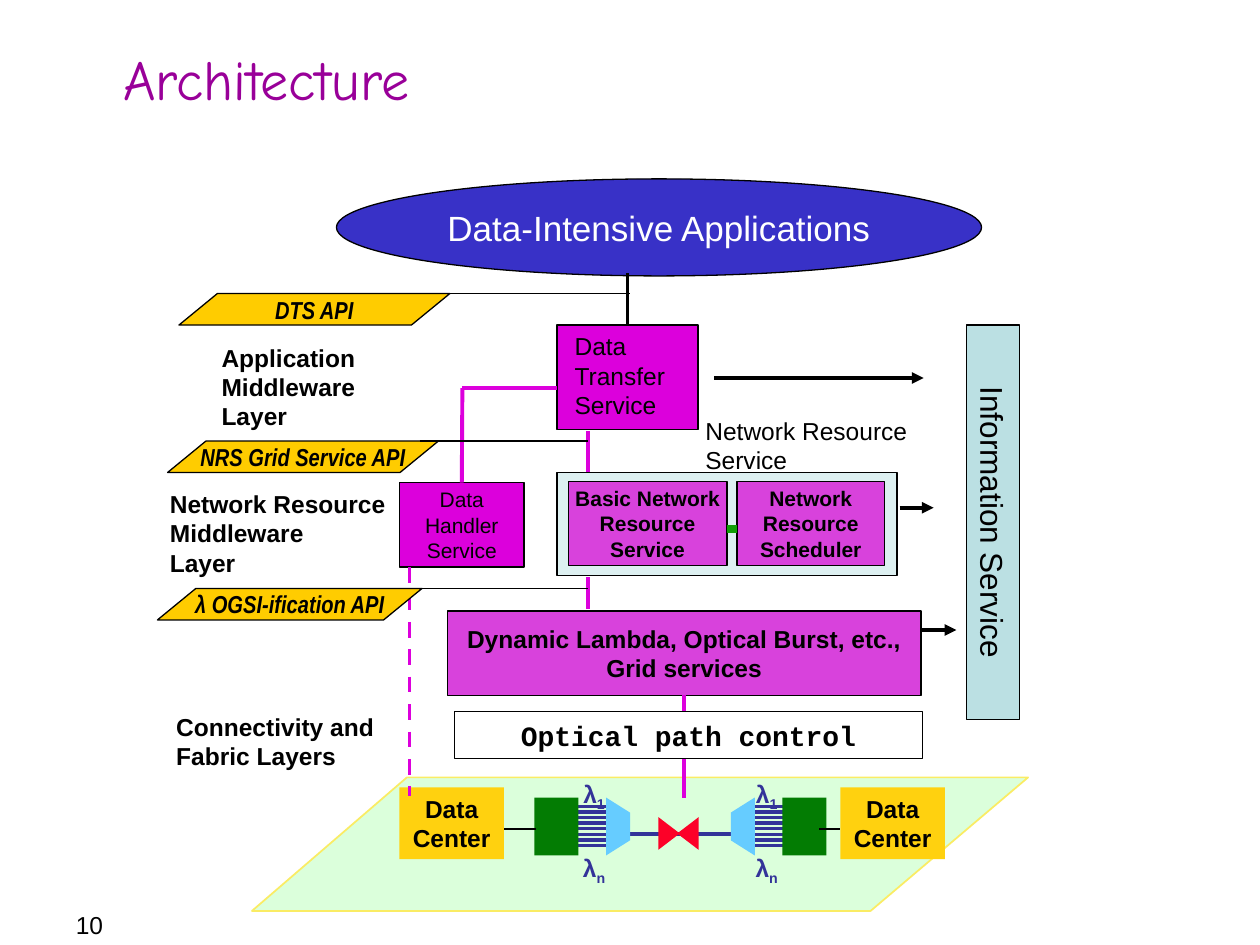
from dataclasses import dataclass
from lxml.etree import SubElement
from pptx import Presentation
from pptx.dml.color import RGBColor
from pptx.enum.dml import MSO_LINE
from pptx.enum.shapes import MSO_CONNECTOR, MSO_SHAPE
from pptx.enum.text import MSO_ANCHOR, PP_ALIGN
from pptx.oxml.ns import qn
from pptx.util import Inches, Pt


@dataclass(frozen=True)
class Theme:
    """Colours, fonts and type sizes of the slide."""
    black: str = "000000"
    white: str = "FFFFFF"
    title: str = "990099"
    application: str = "3831C7"
    service: str = "DC00DC"
    grid: str = "D842DC"
    frame: str = "DDF0F1"
    joint: str = "119E06"
    information: str = "BBE0E3"
    api: str = "FFCC00"
    plane: str = "DBFFDB"
    plane_edge: str = "FAEC64"
    center: str = "FFD10F"
    fiber: str = "333399"
    prism: str = "66CCFF"
    block: str = "037C03"
    switch: str = "FC0128"
    body_font: str = "Arial"
    api_font: str = "Arial Narrow"
    title_font: str = "Comic Neue"
    code_font: str = "Courier New"
    title_size: int = 32
    large: int = 20
    medium: int = 18
    code_size: int = 16
    body: int = 14
    small: int = 12


THEME = Theme()


@dataclass(frozen=True)
class Box:
    """A rectangle in inches."""
    left: float
    top: float
    width: float
    height: float

    def inner(self, x, y, width, height):
        """Return a box placed relative to this one."""
        return Box(self.left + x, self.top + y, width, height)

    def point(self, x, y):
        """Return a point placed relative to this box."""
        return self.left + x, self.top + y

    def lengths(self):
        """Return the four measures as lengths."""
        return [Inches(value) for value in (self.left, self.top, self.width, self.height)]


def write(shape, text, size=THEME.body, color=THEME.black, font=THEME.body_font, bold=False, italic=False,
          align=PP_ALIGN.CENTER, anchor=MSO_ANCHOR.MIDDLE, inset=0.02, wrap=True):
    """Fill a shape with formatted text."""
    frame = shape.text_frame
    frame.text = text
    frame.word_wrap = wrap
    frame.vertical_anchor = anchor
    frame.margin_left = frame.margin_right = Inches(inset)
    for paragraph in frame.paragraphs:
        paragraph.alignment = align
        for run in paragraph.runs:
            run.font.size, run.font.name = Pt(size), font
            run.font.bold, run.font.italic = bold, italic
            run.font.color.rgb = RGBColor.from_string(color)


def paint(shape, fill, edge=None, weight=0.75):
    """Set fill and outline and drop the shadow."""
    shape.shadow.inherit = False
    shape.fill.solid()
    shape.fill.fore_color.rgb = RGBColor.from_string(fill)
    if edge:
        shape.line.color.rgb = RGBColor.from_string(edge)
        shape.line.width = Pt(weight)
    else:
        shape.line.fill.background()
    return shape


def add_block(slide, box, fill, edge=THEME.black, kind=MSO_SHAPE.RECTANGLE):
    """Add a painted preset shape."""
    return paint(slide.shapes.add_shape(kind, *box.lengths()), fill, edge)


def add_label(slide, box, text, **style):
    """Add a text box, left-aligned from the top by default."""
    style = {"align": PP_ALIGN.LEFT, "anchor": MSO_ANCHOR.TOP, "inset": 0.1} | style
    label = slide.shapes.add_textbox(*box.lengths())
    write(label, text, **style)
    return label


def add_outline(slide, points, fill, edge=None, weight=0.75):
    """Add a closed polygon."""
    corners = [(Inches(x), Inches(y)) for x, y in points]
    builder = slide.shapes.build_freeform(*corners[0])
    builder.add_line_segments(corners[1:], close=True)
    return paint(builder.convert_to_shape(), fill, edge, weight)


def add_line(slide, start, end, color=THEME.black, weight=2.25, arrow=False, dashed=False):
    """Add a straight line with an optional arrowhead or dash."""
    ends = [Inches(value) for value in (*start, *end)]
    connector = slide.shapes.add_connector(MSO_CONNECTOR.STRAIGHT, *ends)
    connector.line.color.rgb = RGBColor.from_string(color)
    connector.line.width = Pt(weight)
    if dashed:
        connector.line.dash_style = MSO_LINE.DASH
    properties = connector._element.spPr
    if arrow:
        SubElement(properties.find(qn("a:ln")), qn("a:tailEnd"), type="triangle")
    SubElement(properties, qn("a:effectLst"))
    return connector


def add_heading(slide, box):
    """Place the title and the page number."""
    add_label(slide, box.inner(0.88, 0, 9, 1.24), "Architecture", size=THEME.title_size, color=THEME.title,
              font=THEME.title_font, anchor=MSO_ANCHOR.MIDDLE)
    add_label(slide, box.inner(0, 7.17, 1.42, 0.33), "10", align=PP_ALIGN.CENTER)


def add_terminal(slide, box, mirrored=False):
    """Place one optical terminal: fibers, labels, prism and block."""
    def across(x):
        return box.width - x if mirrored else x

    for index in range(8):
        y = 0.07 + index * 0.31 / 7
        add_line(slide, box.point(across(0.28), y), box.point(across(0.59), y), THEME.fiber, 2)
    for y, subscript in ((-0.2, "1"), (0.39, "n")):
        place = box.inner(min(across(0.3), across(0.65)), y, 0.35, 0.35)
        label = add_label(slide, place, "λ", color=THEME.fiber, bold=True, align=PP_ALIGN.CENTER, inset=0.02)
        run = label.text_frame.paragraphs[0].add_run()
        run.text = subscript
        run.font.size, run.font.name, run.font.bold = Pt(THEME.body), THEME.body_font, True
        run.font.color.rgb = RGBColor.from_string(THEME.fiber)
        run._r.get_or_add_rPr().set("baseline", "-25000")
    corners = ((0.57, 0), (0.76, 0.12), (0.76, 0.34), (0.57, 0.46))
    add_outline(slide, [box.point(across(x), y) for x, y in corners], THEME.prism)
    add_block(slide, box.inner(min(across(0), across(0.35)), 0, 0.35, 0.46), THEME.block, None)


def add_fabric(slide, box):
    """Place the optical fabric with its two data centers."""
    corners = ((1.23, 0), (6.16, 0), (4.91, 1.06), (0, 1.06))
    add_outline(slide, [box.point(x, y) for x, y in corners], THEME.plane, THEME.plane_edge, 1)
    add_line(slide, box.point(2.92, 0.45), box.point(3.83, 0.45), THEME.fiber, 2)
    for x, rotation in ((3.18, 90), (3.33, 270)):
        switch = add_block(slide, box.inner(x, 0.36, 0.26, 0.17), THEME.switch, None, MSO_SHAPE.ISOSCELES_TRIANGLE)
        switch.rotation = rotation
    for x, mirrored in ((2.24, False), (3.8, True)):
        add_terminal(slide, box.inner(x, 0.16, 0.76, 0.46), mirrored)
    for x, start, end in ((1.17, 2, 2.25), (4.67, 4.5, 4.67)):
        center = add_block(slide, box.inner(x, 0.08, 0.83, 0.57), THEME.center, None)
        write(center, "Data\nCenter", bold=True)
        add_line(slide, box.point(start, 0.41), box.point(end, 0.41), weight=0.75)


def add_services(slide, box):
    """Place the applications, the transfer service and the data handler."""
    applications = add_block(slide, box.inner(0, 0, 5.12, 0.77), THEME.application, kind=MSO_SHAPE.OVAL)
    write(applications, "Data-Intensive Applications", THEME.large, THEME.white)
    transfer = add_block(slide, box.inner(1.75, 1.16, 1.12, 0.83), THEME.service)
    write(transfer, "Data\nTransfer Service", align=PP_ALIGN.LEFT, anchor=MSO_ANCHOR.TOP, inset=0.14)
    handler = add_block(slide, box.inner(0.5, 2.41, 0.99, 0.67), THEME.service)
    write(handler, "Data\nHandler\nService", THEME.small)
    add_line(slide, box.point(2.31, 0.75), box.point(2.31, 1.16)).end_connect(transfer, 0)
    add_line(slide, box.point(1, 1.66), box.point(1.75, 1.66), THEME.service)
    add_line(slide, box.point(1, 1.66), box.point(1, 2.41), THEME.service).end_connect(handler, 0)
    add_line(slide, box.point(2, 2), box.point(2, 2.33), THEME.service)
    add_line(slide, box.point(0.58, 3.08), box.point(0.58, 4.9), THEME.service, dashed=True)
    add_line(slide, box.point(3, 1.58), box.point(4.66, 1.58), arrow=True)


def add_network_services(slide, box):
    """Place the network resource frame and the grid services below it."""
    add_label(slide, box.inner(1.08, -0.5, 1.86, 0.57), "Network Resource\nService")
    add_block(slide, box.inner(0, 0, 2.7, 0.82), THEME.frame)
    parts = ((0.09, 1.26, "Basic Network\nResource\nService"), (1.43, 1.17, "Network\nResource\nScheduler"))
    for x, width, text in parts:
        write(add_block(slide, box.inner(x, 0.07, width, 0.67), THEME.grid), text, THEME.small, bold=True)
    add_line(slide, box.point(1.35, 0.45), box.point(1.43, 0.45), THEME.joint, 4.5)
    add_line(slide, box.point(2.72, 0.28), box.point(2.99, 0.28), arrow=True)
    add_line(slide, box.point(0.25, 0.83), box.point(0.25, 1.08), THEME.service)
    lambda_services = add_block(slide, box.inner(-0.87, 1.1, 3.76, 0.67), THEME.grid)
    write(lambda_services, "Dynamic Lambda, Optical Burst, etc., Grid services", bold=True)
    add_line(slide, box.point(2.9, 1.25), box.point(3.17, 1.25), arrow=True)
    add_line(slide, box.point(1.01, 1.77), box.point(1.01, 2.58), THEME.service).begin_connect(lambda_services, 2)
    control = add_block(slide, box.inner(-0.81, 1.9, 3.71, 0.37), THEME.white)
    write(control, "Optical path control", THEME.code_size, font=THEME.code_font, bold=True)


def add_layers(slide, box):
    """Place the layer names and the interfaces between them."""
    layers = ((0.41, 0.34, 1.31, "Application\nMiddleware\nLayer"),
              (0, 1.5, 2.34, "Network Resource\nMiddleware\nLayer"),
              (0.05, 3.27, 1.82, "Connectivity and\nFabric Layers"))
    for x, y, width, text in layers:
        add_label(slide, box.inner(x, y, width, 0.8), text, bold=True)
    interfaces = ((0.17, 0, 2.15, 2.25, 3.75, "DTS API"),
                  (0.08, 1.17, 2.15, 2.08, 3.42, "NRS Grid Service API"),
                  (0, 2.34, 2.1, 1.99, 3.42, "λ OGSI-ification API"))
    for x, y, width, start, end, text in interfaces:
        interface = add_block(slide, box.inner(x, y, width, 0.25), THEME.api, kind=MSO_SHAPE.PARALLELOGRAM)
        interface.adjustments[0] = 1.22
        write(interface, text, font=THEME.api_font, bold=True, italic=True, wrap=False)
        add_line(slide, box.point(start, y), box.point(end, y), weight=0.75)


def add_information_service(slide, box):
    """Place the information service turned on its side in an upright box."""
    x, y = (box.width - box.height) / 2, (box.height - box.width) / 2
    bar = add_block(slide, box.inner(x, y, box.height, box.width), THEME.information)
    bar.rotation = 90
    write(bar, "Information Service", THEME.medium)


def main():
    """Build and save the slide."""
    presentation = Presentation()
    presentation.slide_width, presentation.slide_height = Inches(10), Inches(7.5)
    slide = presentation.slides.add_slide(presentation.slide_layouts[6])
    add_heading(slide, Box(0, 0, 10, 7.5))
    add_fabric(slide, Box(2, 6.17, 6.16, 1.06))
    add_services(slide, Box(2.67, 1.42, 5.12, 4.9))
    add_network_services(slide, Box(4.42, 3.75, 2.7, 2.27))
    add_information_service(slide, Box(7.67, 2.58, 0.42, 3.13))
    add_layers(slide, Box(1.25, 2.33, 3.75, 3.84))
    presentation.save("out.pptx")


if __name__ == "__main__":
    main()
